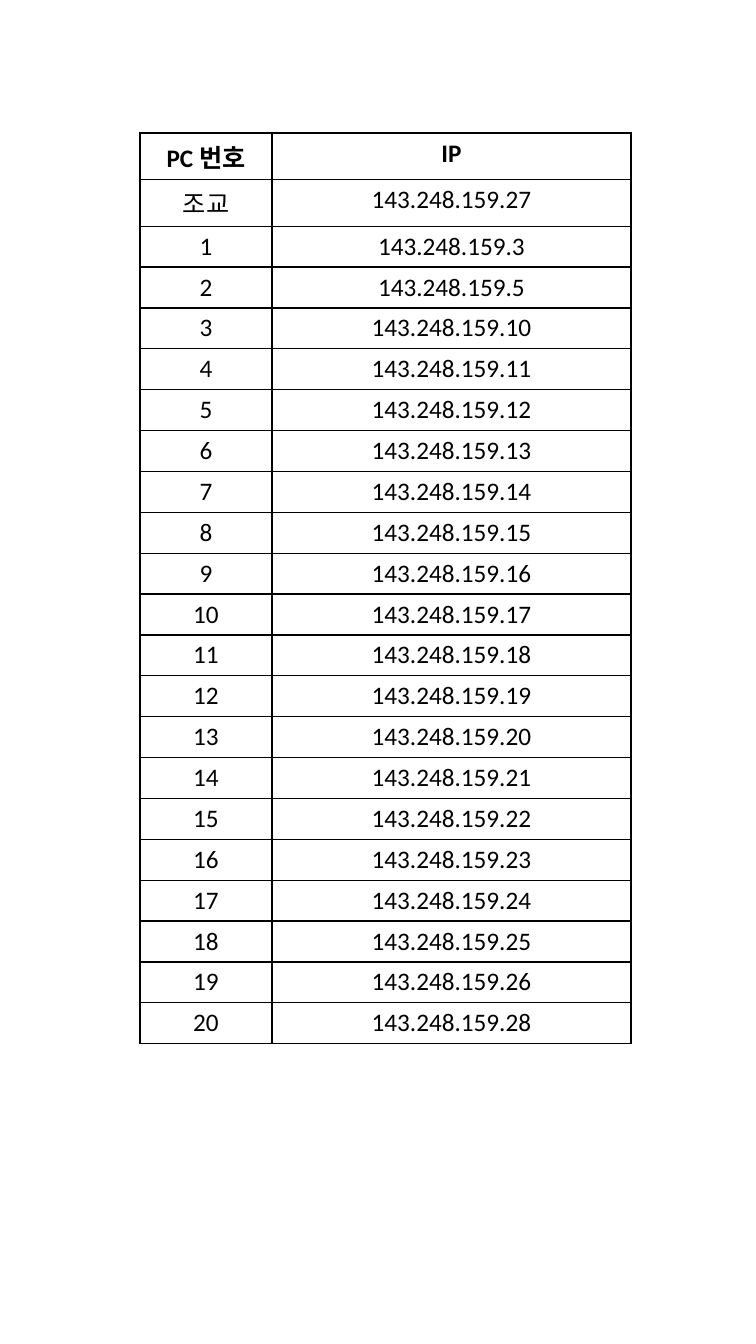
import dataclasses

import lxml.etree
import pptx
import pptx.dml.color
import pptx.enum.text
import pptx.oxml.ns
import pptx.table
import pptx.util

EMU_PER_PIXEL = 914400 / 100.8
BLACK = pptx.dml.color.RGBColor(0, 0, 0)
FONT_NAME = "Calibri"
FONT_SIZE = pptx.util.Pt(18)
BORDER_WIDTH = pptx.util.Pt(1)
SUBNET = "143.248.159"


@dataclasses.dataclass(frozen=True)
class AddressRow:
    pc: str
    ip: str
    height: int = 24
    bold: bool = False


def px(pixels: int) -> pptx.util.Emu:
    return pptx.util.Emu(round(pixels * EMU_PER_PIXEL))


def add_borders(cell: pptx.table._Cell) -> None:
    properties = cell._tc.get_or_add_tcPr()
    for side in ("a:lnL", "a:lnR", "a:lnT", "a:lnB"):
        line = lxml.etree.SubElement(
            properties, pptx.oxml.ns.qn(side), w=str(BORDER_WIDTH)
        )
        fill = lxml.etree.SubElement(line, pptx.oxml.ns.qn("a:solidFill"))
        lxml.etree.SubElement(fill, pptx.oxml.ns.qn("a:srgbClr"), val=str(BLACK))


def fill_cell(cell: pptx.table._Cell, text: str, bold: bool) -> None:
    add_borders(cell)
    cell.fill.background()
    cell.text = text
    paragraph = cell.text_frame.paragraphs[0]
    paragraph.alignment = pptx.enum.text.PP_ALIGN.CENTER
    paragraph.font.name = FONT_NAME
    paragraph.font.size = FONT_SIZE
    paragraph.font.bold = bold
    paragraph.font.color.rgb = BLACK


# Address list: heading, assistant, then the numbered PCs
pc_hosts = [3, 5, *range(10, 27), 28]
address_rows = [
    AddressRow("PC 번호", "IP", bold=True),
    AddressRow("조교", f"{SUBNET}.27"),
]
for number, host in enumerate(pc_hosts, start=1):
    height = 16 if number > 18 else 24
    address_rows.append(AddressRow(str(number), f"{SUBNET}.{host}", height))

# Slide
presentation = pptx.Presentation()
presentation.slide_width = px(756)
presentation.slide_height = px(1344)
slide = presentation.slides.add_slide(presentation.slide_layouts[6])

# Address table; rows grow to fit their text
address_frame = slide.shapes.add_table(
    len(address_rows), 2, px(140), px(133), px(491), px(721)
)
address_table = address_frame.table
address_table.first_row = False
address_table.horz_banding = False
for column, width in zip(address_table.columns, (132, 359)):
    column.width = px(width)
for table_row, address in zip(address_table.rows, address_rows):
    table_row.height = px(address.height)
    for cell, text in zip(table_row.cells, (address.pc, address.ip)):
        fill_cell(cell, text, address.bold)
address_frame.height = px(721)

presentation.save("out.pptx")
